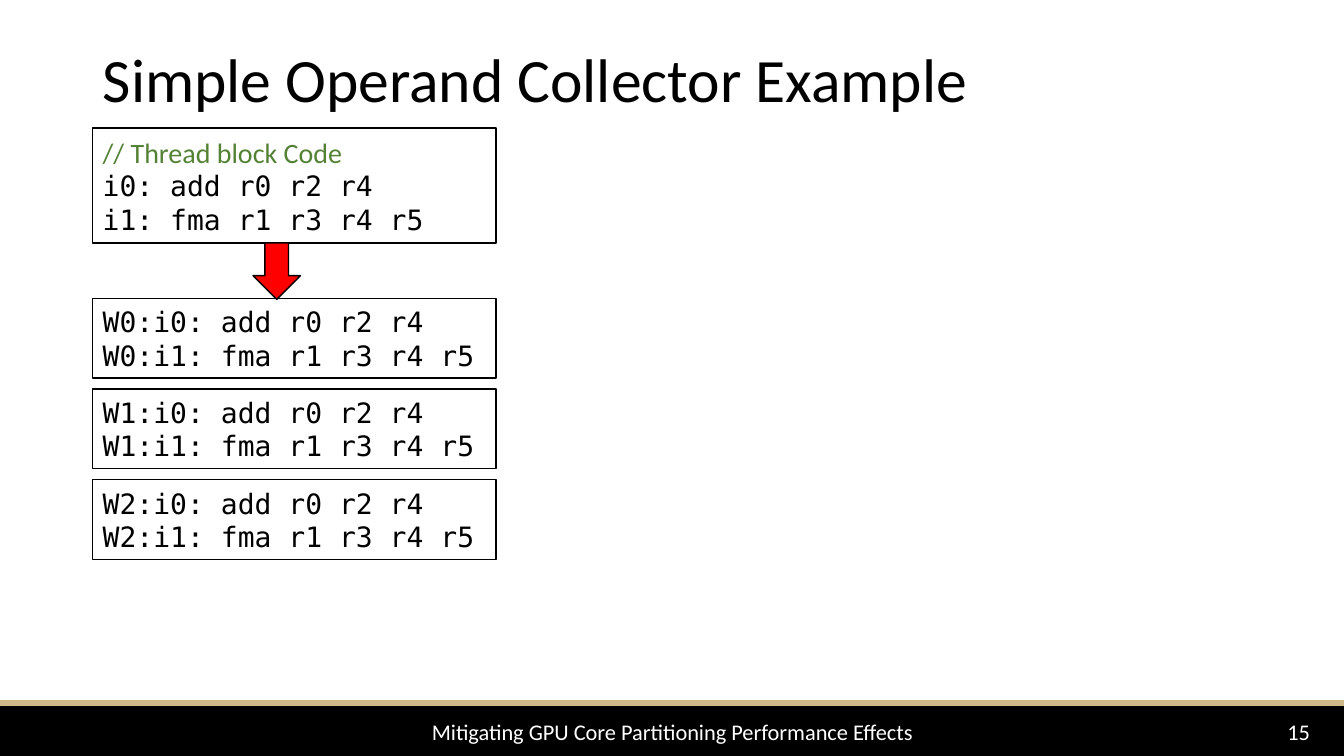
"""Build the operand collector example slide."""
from pptx import Presentation
from pptx.dml.color import RGBColor
from pptx.enum.shapes import MSO_SHAPE as SHAPE
from pptx.enum.text import MSO_ANCHOR as ANCHOR, PP_ALIGN as ALIGN
from pptx.util import Inches, Pt

BLACK = RGBColor(0x00, 0x00, 0x00)
WHITE = RGBColor(0xFF, 0xFF, 0xFF)
GOLD = RGBColor(0xCE, 0xB8, 0x88)
GREEN = RGBColor(0x54, 0x82, 0x35)
RED = RGBColor(0xFF, 0x00, 0x00)

TITLE = {"name": "Calibri", "size": Pt(44)}
FOOTER = {"name": "Calibri", "size": Pt(16)}
COMMENT = {"name": "Calibri", "size": Pt(20)}
CODE = {"name": "DejaVu Sans Mono", "size": Pt(20)}

LEFT = 0.92
CODE_WIDTH = 4
WARP_TOP, WARP_HEIGHT, WARP_STEP = 2.96, 0.79, 0.9
INSTRUCTIONS = ["i0: add r0 r2 r4", "i1: fma r1 r3 r4 r5"]


def set_format(target, values):
    """Set each named attribute of the target."""
    for name, value in values.items():
        setattr(target, name, value)


def write_line(p, text, font, color, align=ALIGN.LEFT):
    """Write one formatted run into a paragraph."""
    p.alignment = align
    r = p.add_run()
    r.text = text
    set_format(r.font, font)
    r.font.color.rgb = color


def add_block(s, kind, left, top, width, height, fill, line=BLACK):
    """Add a filled, outlined preset shape."""
    sp = s.shapes.add_shape(kind, Inches(left), Inches(top), Inches(width), Inches(height))
    sp.shadow.inherit = False
    sp.fill.solid()
    sp.fill.fore_color.rgb = fill
    sp.line.color.rgb = line
    sp.line.width = Pt(1)
    return sp


def add_code_box(s, top, height, lines):
    """Add a code box from (text, font, color) lines."""
    sp = add_block(s, SHAPE.RECTANGLE, LEFT, top, CODE_WIDTH, height, WHITE)
    tf = sp.text_frame
    set_format(tf, {"word_wrap": True, "vertical_anchor": ANCHOR.MIDDLE})
    for i, line in enumerate(lines):
        p = tf.add_paragraph() if i else tf.paragraphs[0]
        write_line(p, *line)


def add_footer_text(s, left, width, text):
    """Add centred white text on the footer bar."""
    sp = s.shapes.add_textbox(Inches(left), Inches(7.01), Inches(width), Inches(0.49))
    tf = sp.text_frame
    set_format(tf, {"word_wrap": True, "vertical_anchor": ANCHOR.MIDDLE})
    write_line(tf.paragraphs[0], text, FOOTER, WHITE, ALIGN.CENTER)


def set_title(s, text):
    """Place and format the title placeholder."""
    sp = s.shapes.title
    set_format(sp, {"left": Inches(LEFT), "top": Inches(0.25),
                    "width": Inches(11.5), "height": Inches(1.14)})
    tf = sp.text_frame
    tf.vertical_anchor = ANCHOR.MIDDLE
    p = tf.paragraphs[0]
    p.line_spacing = 0.9
    write_line(p, text, TITLE, BLACK)


def main():
    """Build and save the slide."""
    prs = Presentation()
    set_format(prs, {"slide_width": Inches(13.33), "slide_height": Inches(7.5)})
    s = prs.slides.add_slide(prs.slide_layouts[5])

    for height, color in ((0.55, BLACK), (0.05, GOLD)):
        add_block(s, SHAPE.RECTANGLE, 0, 6.95, 13.33, height, color, color)
    add_footer_text(s, LEFT, 11.5, "Mitigating GPU Core Partitioning Performance Effects")
    add_footer_text(s, 12.42, 0.92, "15")
    set_title(s, "Simple Operand Collector Example")

    code = [(text, CODE, BLACK) for text in INSTRUCTIONS]
    add_code_box(s, 1.27, 1.14, [("// Thread block Code", COMMENT, GREEN), *code])
    for warp in range(3):
        lines = [(f"W{warp}:{text}", CODE, BLACK) for text in INSTRUCTIONS]
        add_code_box(s, WARP_TOP + warp * WARP_STEP, WARP_HEIGHT, lines)
    add_block(s, SHAPE.DOWN_ARROW, 2.51, 2.41, 0.47, 0.56, RED)

    prs.save("out.pptx")


if __name__ == "__main__":
    main()
